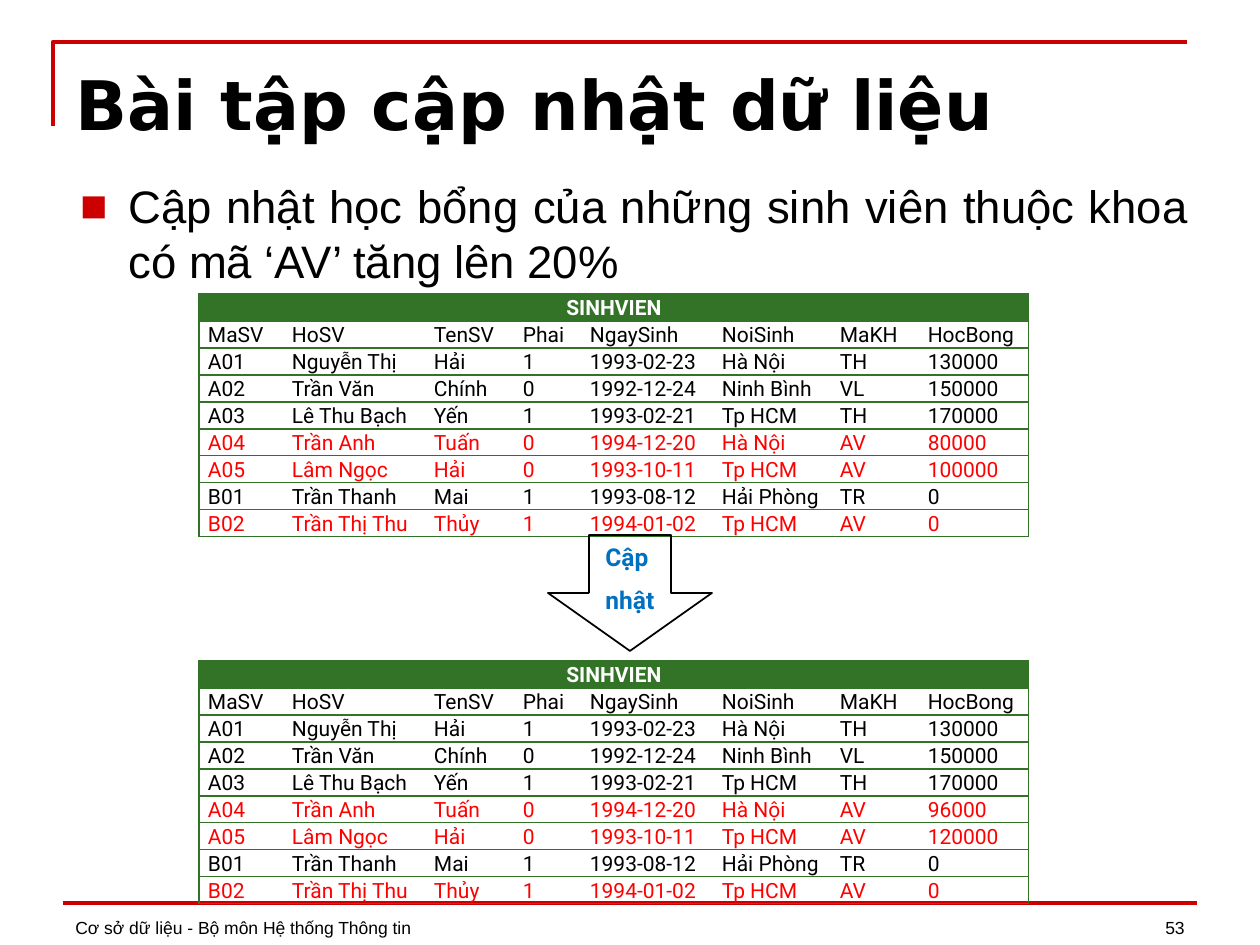
from dataclasses import dataclass

from lxml import etree
from pptx import Presentation
from pptx.dml.color import RGBColor
from pptx.enum import shapes, text
from pptx.oxml import ns
from pptx.util import Pt

PX = 914400 / 126  # EMU per px, 126 px to the inch

RED = RGBColor(0xCC, 0x00, 0x00)
MARK = RGBColor(0xFF, 0x00, 0x00)
GREEN = RGBColor(0x33, 0x73, 0x27)
BLUE = RGBColor(0x00, 0x70, 0xC0)
BLACK = RGBColor(0x00, 0x00, 0x00)
WHITE = RGBColor(0xFF, 0xFF, 0xFF)

LEFT, CENTER, RIGHT, JUST = (
    text.PP_ALIGN.LEFT, text.PP_ALIGN.CENTER,
    text.PP_ALIGN.RIGHT, text.PP_ALIGN.JUSTIFY)
MIDDLE, TOP, BOTTOM = (
    text.MSO_ANCHOR.MIDDLE, text.MSO_ANCHOR.TOP, text.MSO_ANCHOR.BOTTOM)

WIDTHS = (84, 142, 89, 67, 132, 118, 88, 110)
ROW = 26
HEADS = ("MaSV", "HoSV", "TenSV", "Phai", "NgaySinh", "NoiSinh", "MaKH",
         "HocBong")


@dataclass
class Label:
    words: str
    box: tuple[int, int, int, int]
    size: int
    font: str = "Arial"
    bold: bool = False
    align: text.PP_ALIGN = LEFT
    anchor: text.MSO_ANCHOR = BOTTOM


@dataclass
class Student:
    code: str
    last: str
    first: str
    sex: int
    born: str
    town: str
    dept: str
    grant: int

    def cells(self, raised: bool) -> list[str]:
        grant = self.grant
        if raised and self.dept == "AV":
            grant = grant * 120 // 100
        return [self.code, self.last, self.first, str(self.sex), self.born,
                self.town, self.dept, str(grant)]


TITLE = Label("Bài tập cập nhật dữ liệu", (63, 49, 1134, 108), 39,
              "DejaVu Sans", True, LEFT, MIDDLE)
TASK = Label("Cập nhật học bổng của những sinh viên thuộc khoa có mã ‘AV’ "
             "tăng lên 20%", (68, 172, 1134, 673), 26, align=JUST, anchor=TOP)
FOOT = Label("Cơ sở dữ liệu - Bộ môn Hệ thống Thông tin",
             (63, 881, 766, 63), 10)
PAGE = Label("53", (903, 881, 294, 63), 10, align=RIGHT)

STUDENTS = (
    Student("A01", "Nguyễn Thị", "Hải", 1, "1993-02-23", "Hà Nội", "TH", 130000),
    Student("A02", "Trần Văn", "Chính", 0, "1992-12-24", "Ninh Bình", "VL", 150000),
    Student("A03", "Lê Thu Bạch", "Yến", 1, "1993-02-21", "Tp HCM", "TH", 170000),
    Student("A04", "Trần Anh", "Tuấn", 0, "1994-12-20", "Hà Nội", "AV", 80000),
    Student("A05", "Lâm Ngọc", "Hải", 0, "1993-10-11", "Tp HCM", "AV", 100000),
    Student("B01", "Trần Thanh", "Mai", 1, "1993-08-12", "Hải Phòng", "TR", 0),
    Student("B02", "Trần Thị Thu", "Thủy", 1, "1994-01-02", "Tp HCM", "AV", 0),
)


def px(*nums: int) -> list[int]:
    return [round(n * PX) for n in nums]


def style(para, size: int, font: str, color: RGBColor, bold: bool) -> None:
    para.font.size = Pt(size)
    para.font.name = font
    para.font.bold = bold
    para.font.color.rgb = color


def add_label(slide, label: Label):
    frame = slide.shapes.add_textbox(*px(*label.box)).text_frame
    frame.word_wrap = True
    frame.vertical_anchor = label.anchor
    para = frame.paragraphs[0]
    para.text = label.words
    para.alignment = label.align
    style(para, label.size, label.font, BLACK, label.bold)
    return para


def add_bullet(para, indent: int) -> None:
    props = para._p.get_or_add_pPr()
    gap = px(indent)[0]
    props.set("marL", str(gap))
    props.set("indent", str(-gap))
    color = etree.Element(ns.qn("a:buClr"))
    etree.SubElement(color, ns.qn("a:srgbClr"), val=str(RED))
    font = etree.Element(ns.qn("a:buFont"), typeface="Arial")
    char = etree.Element(ns.qn("a:buChar"), char="■")
    for at, part in enumerate((color, font, char)):
        props.insert(at, part)


def add_edges(cell, sides: str) -> None:
    props = cell._tc.get_or_add_tcPr()
    for side in "LRTB":
        line = etree.SubElement(props, ns.qn(f"a:ln{side}"), w=str(Pt(0.75)))
        if side in sides:
            fill = etree.SubElement(line, ns.qn("a:solidFill"))
            etree.SubElement(fill, ns.qn("a:srgbClr"), val=str(GREEN))
        else:
            etree.SubElement(line, ns.qn("a:noFill"))


def fill_cell(cell, words: str, color: RGBColor, sides: str,
              head: bool = False) -> None:
    cell.margin_left, cell.margin_right = px(9, 9)
    cell.margin_top = cell.margin_bottom = 0
    add_edges(cell, sides)
    if head:
        cell.fill.solid()
        cell.fill.fore_color.rgb = GREEN
    else:
        cell.fill.background()
    para = cell.text_frame.paragraphs[0]
    para.text = words
    para.alignment = CENTER if head else LEFT
    para.line_spacing = 1.07
    para.space_after = Pt(8)
    style(para, 12, "Roboto", color, head)


def add_grid(slide, top: int, raised: bool) -> None:
    rows = [list(HEADS)] + [s.cells(raised) for s in STUDENTS]
    count, last = len(rows) + 1, len(WIDTHS) - 1
    grid = slide.shapes.add_table(
        count, len(WIDTHS), *px(199, top, sum(WIDTHS), ROW * count)).table
    grid.first_row = grid.horz_banding = False
    for col, width in zip(grid.columns, WIDTHS):
        col.width = px(width)[0]
    for row in grid.rows:
        row.height = px(ROW)[0]
    grid.cell(0, 0).merge(grid.cell(0, last))
    fill_cell(grid.cell(0, 0), "SINHVIEN", WHITE, "LRTB", True)
    for r, row in enumerate(rows, 1):
        color = MARK if "AV" in row else BLACK
        for c, words in enumerate(row):
            ends = ("L" if c == 0 else "") + ("R" if c == last else "")
            fill_cell(grid.cell(r, c), words, color, "TB" + ends)


def add_frame(slide) -> None:
    # Corner rule at the top
    pen = slide.shapes.build_freeform(53, 126, scale=PX)
    pen.add_line_segments([(53, 42), (1187, 42)], close=False)
    corner = pen.convert_to_shape()
    corner.shadow.inherit = False
    corner.fill.background()
    # Footer rule
    rule = slide.shapes.add_connector(
        shapes.MSO_CONNECTOR.STRAIGHT, *px(63, 903, 1197, 903))
    etree.SubElement(rule._element.spPr, ns.qn("a:effectLst"))
    for item, width in ((corner, 2.5), (rule, 2)):
        item.line.color.rgb = RED
        item.line.width = Pt(width)


def add_arrow(slide) -> None:
    arrow = slide.shapes.add_shape(
        shapes.MSO_SHAPE.DOWN_ARROW, *px(548, 535, 164, 116))
    arrow.shadow.inherit = False
    arrow.fill.background()
    arrow.line.color.rgb = BLACK
    arrow.line.width = Pt(1)
    frame = arrow.text_frame
    frame.word_wrap = False
    frame.vertical_anchor = MIDDLE
    frame.text = "Cập \nnhật"
    for para in frame.paragraphs:
        para.alignment = CENTER
        style(para, 14, "Roboto", BLUE, True)
    frame.paragraphs[1].space_before = Pt(8)


def main() -> None:
    deck = Presentation()
    deck.slide_width, deck.slide_height = px(1260, 945)
    slide = deck.slides.add_slide(deck.slide_layouts[6])
    add_frame(slide)
    # Title, task and footer
    add_label(slide, TITLE)
    add_bullet(add_label(slide, TASK), 48)
    add_label(slide, FOOT)
    add_label(slide, PAGE)
    # Table before and after the update
    add_grid(slide, 294, False)
    add_grid(slide, 661, True)
    add_arrow(slide)
    deck.save("out.pptx")


if __name__ == "__main__":
    main()
